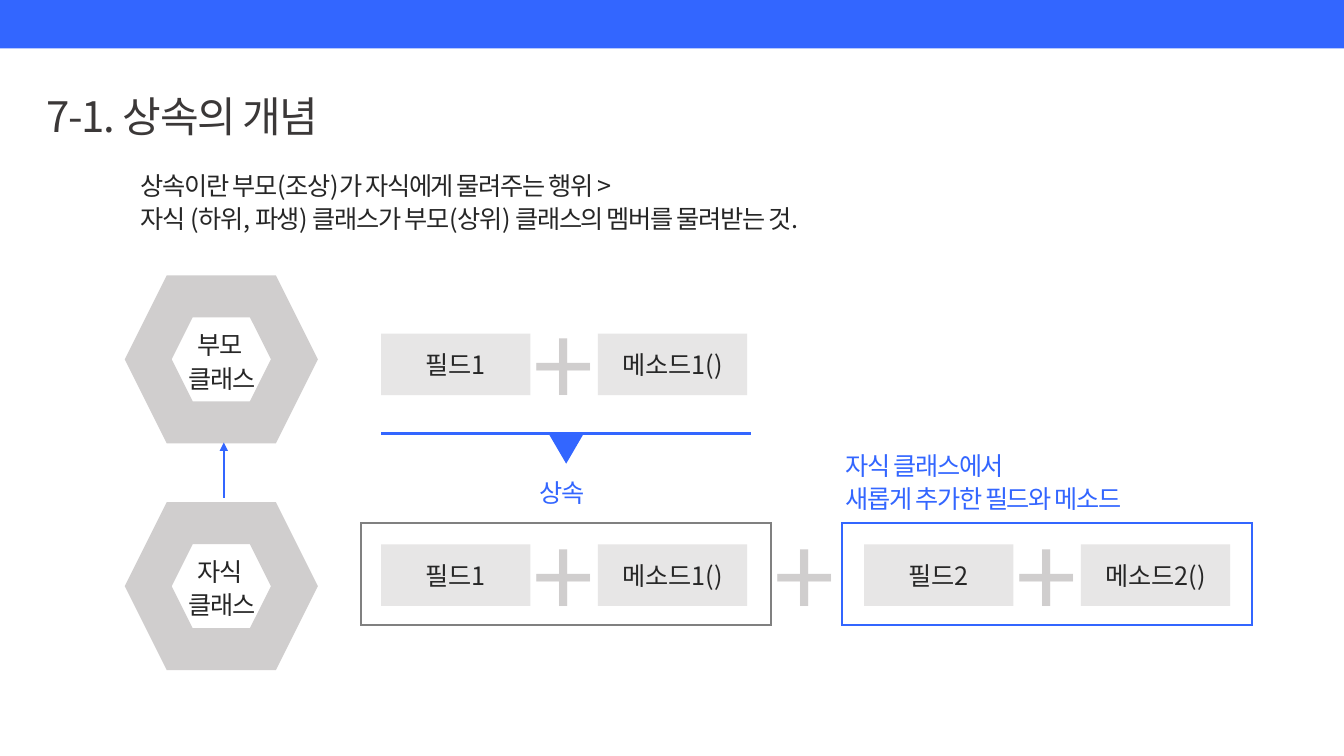
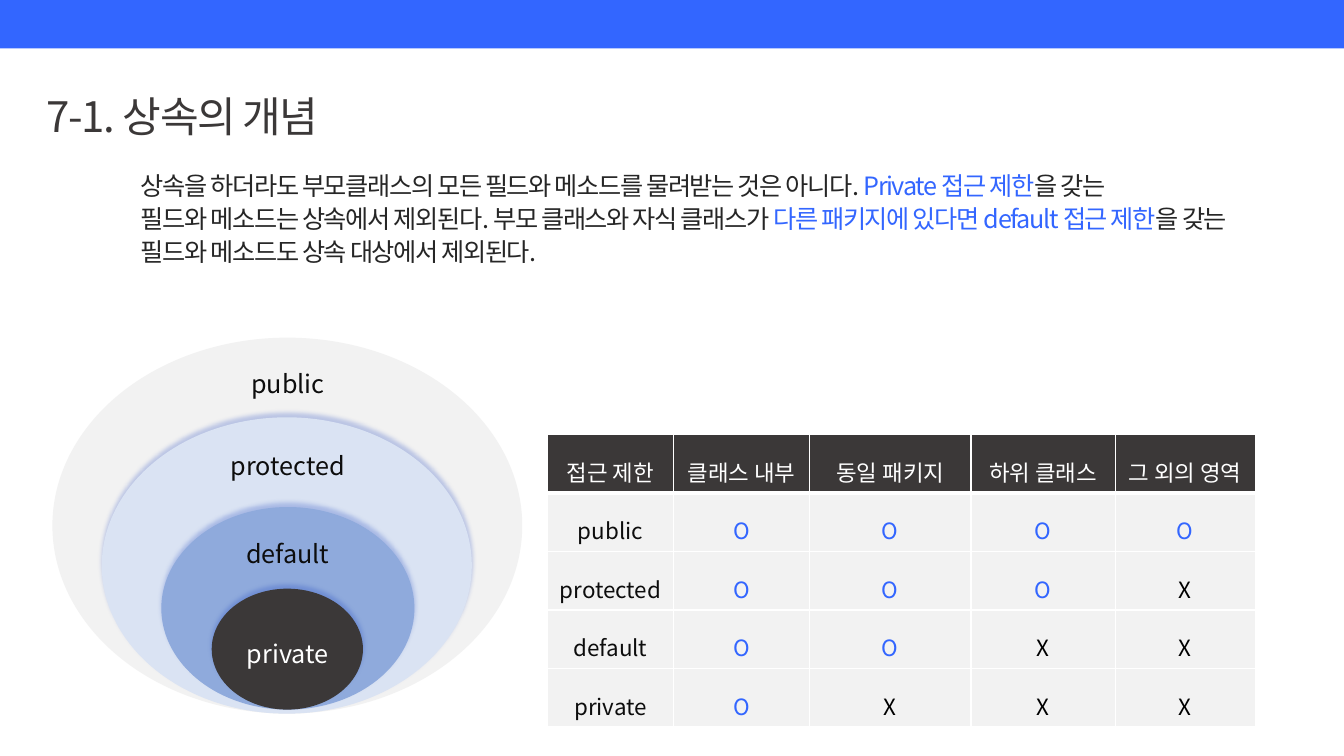
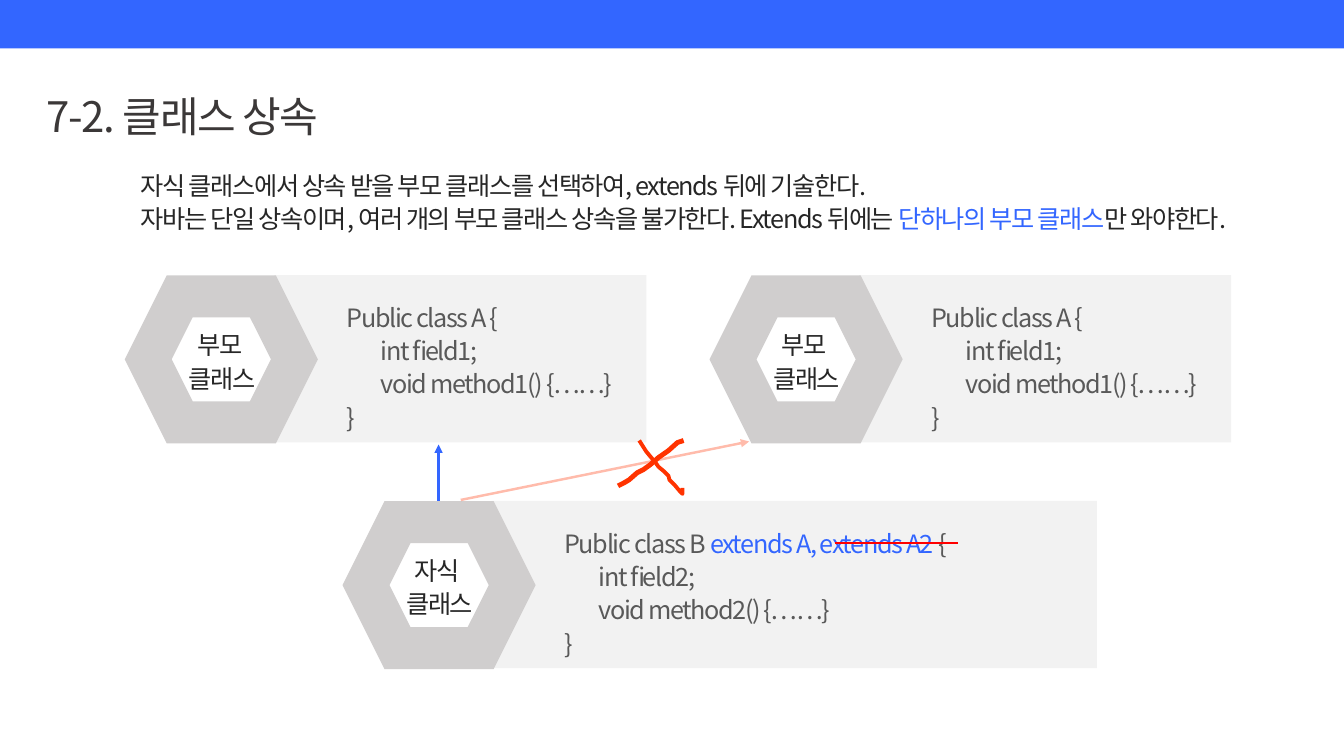
from dataclasses import dataclass

from lxml.etree import SubElement
from pptx import Presentation
from pptx.dml.color import RGBColor
from pptx.enum.shapes import MSO_CONNECTOR, MSO_SHAPE
from pptx.enum.text import MSO_ANCHOR, MSO_AUTO_SIZE, PP_ALIGN
from pptx.oxml.ns import qn
from pptx.util import Inches, Pt


@dataclass(frozen=True)
class Theme:
    """Colours, font and type sizes of the deck."""
    font: str = "Noto Sans CJK KR"
    blue: str = "3366FF"
    dark: str = "3B3838"
    ink: str = "262626"
    black: str = "000000"
    label: str = "0D0D0D"
    code: str = "595959"
    edge: str = "808080"
    ring: str = "D0CECE"
    block: str = "E7E6E6"
    pale: str = "F2F2F2"
    white: str = "FFFFFF"
    sky: str = "DAE3F3"
    mid: str = "8FAADC"
    glow: str = "1C43BE"
    cross: str = "FF3300"
    strike: str = "FF0000"
    title: int = 30
    body: int = 18
    cell: int = 16
    plus: int = 80


T = Theme()


def rgb(code):
    """Turn a hex code into a colour."""
    return RGBColor.from_string(code)


def sub(parent, tag, **attrs):
    """Append an XML child with attributes."""
    return SubElement(parent, qn(tag), attrs)


def write(frame, paras, size=T.body, color=T.ink, align=PP_ALIGN.LEFT,
          space=1.1, track=0, indent=()):
    """Fill a frame; a paragraph is a string or a list of (text, colour) runs."""
    for i, runs in enumerate(paras):
        para = frame.paragraphs[0] if i == 0 else frame.add_paragraph()
        para.alignment = align
        para.line_spacing = space
        if i in indent:
            para._p.get_or_add_pPr().set("marL", str(Inches(0.34)))
        for text, tint in [(runs, color)] if isinstance(runs, str) else runs:
            run = para.add_run()
            run.text = text
            run.font.size = Pt(size)
            run.font.name = T.font
            run.font.color.rgb = rgb(tint)
            props = run._r.get_or_add_rPr()
            sub(props, "a:ea", typeface=T.font)
            if track:
                props.set("spc", str(track * 100))


def text(slide, box, paras, wrap=True, anchor=MSO_ANCHOR.TOP, **fmt):
    """Add a text box."""
    frame = slide.shapes.add_textbox(*map(Inches, box)).text_frame
    frame.auto_size = MSO_AUTO_SIZE.NONE
    frame.word_wrap = wrap
    frame.vertical_anchor = anchor
    write(frame, paras, **fmt)


def shape(slide, kind, box, fill=None, line=None):
    """Add a preset shape; line is (colour, points)."""
    item = slide.shapes.add_shape(kind, *map(Inches, box))
    item.shadow.inherit = False
    if fill:
        item.fill.solid()
        item.fill.fore_color.rgb = rgb(fill)
    else:
        item.fill.background()
    if line:
        item.line.color.rgb = rgb(line[0])
        item.line.width = Pt(line[1])
        sub(item.element.spPr.find(qn("a:ln")), "a:miter", lim="800000")
    else:
        item.line.fill.background()
    return item


def rule(slide, start, end, color=T.blue, width=1.75, head=False, alpha=None):
    """Add a straight line, with an arrowhead at its start if asked."""
    item = slide.shapes.add_connector(
        MSO_CONNECTOR.STRAIGHT, *map(Inches, (*start, *end)))
    item.line.color.rgb = rgb(color)
    item.line.width = Pt(width)
    props = item.element.spPr
    edge = props.find(qn("a:ln"))
    if alpha:
        sub(edge.find(".//" + qn("a:srgbClr")), "a:alpha", val=str(alpha * 1000))
    if head:
        sub(edge, "a:headEnd", type="triangle")
    sub(props, "a:effectLst")


def stroke(group, points, width):
    """Add a hand-drawn open stroke to a group."""
    spots = [(Inches(x), Inches(y)) for x, y in points]
    pen = group.shapes.build_freeform(*spots[0])
    pen.add_line_segments(spots[1:], close=False)
    item = pen.convert_to_shape()
    item.shadow.inherit = False
    item.fill.background()
    item.line.color.rgb = rgb(T.cross)
    item.line.width = Pt(width)


def page(deck, title, body):
    """Add a slide with its title and lead text."""
    slide = deck.slides.add_slide(deck.slide_layouts[6])
    text(slide, (0.36, 0.8, 9.55, 0.63), [title],
         size=T.title, color=T.dark, track=-1)
    text(slide, (1.3, 1.61, 11.6, 1.24), body, track=-1)
    return slide


def band(deck, slide):
    """Put the top band on the master, for all slides."""
    bar = shape(slide, MSO_SHAPE.RECTANGLE, (-0.01, 0, 13.35, 0.48), T.blue)
    deck.slide_master.shapes.element.append(bar.element)


def node(slide, left, top, role):
    """Add a class hexagon with its role."""
    shape(slide, MSO_SHAPE.HEXAGON, (left, top, 1.45, 1.25),
          T.white, (T.ring, 30))
    text(slide, (left + 0.07, top + 0.25, 1.32, 0.61), [role + " ", "클래스"],
         wrap=False, align=PP_ALIGN.CENTER, track=-1)


def plus(slide, left, top):
    """Add a large plus sign."""
    text(slide, (left, top, 1.17, 1.07), ["+"], size=T.plus, color=T.ring,
         align=PP_ALIGN.CENTER, anchor=MSO_ANCHOR.MIDDLE)


def pair(slide, left, top, num):
    """Add a field block, a plus sign and a method block."""
    for shift, name in ((0, f"필드{num}"), (2.15, f"메소드{num}()")):
        item = shape(slide, MSO_SHAPE.RECTANGLE,
                     (left + shift, top, 1.48, 0.61), T.block)
        item.text_frame.vertical_anchor = MSO_ANCHOR.MIDDLE
        write(item.text_frame, [name], align=PP_ALIGN.CENTER, space=1)
    plus(slide, left + 1.23, top - 0.3)


def card(slide, left, top, width, role, lines):
    """Add a code panel with its class hexagon."""
    shape(slide, MSO_SHAPE.RECTANGLE, (left, top, width, 1.66), T.pale)
    text(slide, (left + 0.62, top + 0.19, width - 0.45, 1.46), lines,
         color=T.code, track=-1, indent=(1, 2))
    node(slide, left - 1.25, top + 0.21, role)


def oval(slide, box, fill, name, top, color=T.label, glow=True):
    """Add one access ring and its label."""
    item = shape(slide, MSO_SHAPE.OVAL, box, fill)
    if glow:
        cast = sub(item.element.spPr.find(qn("a:effectLst")), "a:outerShdw",
                   blurRad=str(Pt(3)), dist=str(Pt(3)), dir="16200000",
                   algn="ctr", rotWithShape="0")
        tint = sub(cast, "a:srgbClr", val=T.glow)
        sub(tint, "a:alpha", val="25000")
    text(slide, (2.34, top, 1.03, 0.47), [name], wrap=False,
         color=color, align=PP_ALIGN.CENTER)


def border(cell, low):
    """Give a cell white borders, with the bottom one low points wide."""
    props = cell._tc.get_or_add_tcPr()
    sides = (("L", 1), ("R", 1), ("T", 1), ("B", low))
    for i, (side, width) in enumerate(sides):
        edge = props.makeelement(qn("a:ln" + side), {"w": str(Pt(width))})
        sub(sub(edge, "a:solidFill"), "a:srgbClr", val=T.white)
        props.insert(i, edge)


def grid(slide, rows, widths):
    """Add the access table."""
    table = slide.shapes.add_table(
        len(rows), len(widths), Inches(5.43), Inches(4.31),
        Inches(sum(widths)), Inches(0.52 * len(rows))).table
    for col, width in zip(table.columns, widths):
        col.width = Inches(width)
    tints = {"O": T.blue, "X": T.black}
    for r, row in enumerate(rows):
        for c, word in enumerate(row):
            cell = table.cell(r, c)
            cell.fill.solid()
            cell.fill.fore_color.rgb = rgb(T.pale if r else T.dark)
            border(cell, 1 if r else 3)
            color = tints.get(word, T.label) if r else T.white
            write(cell.text_frame, [word], size=T.cell, color=color,
                  align=PP_ALIGN.CENTER, space=1.5)


def idea(deck):
    """Build the slide on what inheritance is."""
    slide = page(deck, "7-1. 상속의 개념", [
        "상속이란 부모(조상)가 자식에게 물려주는 행위 >",
        "자식 (하위, 파생) 클래스가 부모(상위) 클래스의 멤버를 물려받는 것."])
    band(deck, slide)
    node(slide, 1.47, 2.94, "부모")
    pair(slide, 3.78, 3.31, 1)
    rule(slide, (3.78, 4.3), (7.45, 4.3))
    node(slide, 1.47, 5.19, "자식")
    mark = shape(slide, MSO_SHAPE.ISOSCELES_TRIANGLE,
                 (5.44, 4.3, 0.35, 0.3), T.blue)
    mark.rotation = 180
    pair(slide, 3.78, 5.4, 1)
    pair(slide, 8.57, 5.4, 2)
    plus(slide, 7.4, 5.1)
    for left, color in ((8.35, T.blue), (3.58, T.edge)):
        shape(slide, MSO_SHAPE.RECTANGLE, (left, 5.19, 4.07, 1.01),
              line=(color, 1.5))
    text(slide, (5.25, 4.66, 0.67, 0.65), ["상속"], color=T.blue, track=-1)
    text(slide, (8.29, 4.39, 3.24, 0.65),
         ["자식 클래스에서", "새롭게 추가한 필드와 메소드"],
         color=T.blue, track=-1)
    rule(slide, (2.22, 4.39), (2.22, 4.94), head=True)


def access(deck):
    """Build the slide on access limits."""
    slide = page(deck, "7-1. 상속의 개념", [
        [("상속을 하더라도 부모클래스의 모든 필드와 메소드를 물려받는 것은 아니다. ", T.ink),
         ("Private 접근 제한", T.blue), ("을 갖는", T.ink)],
        [("필드와 메소드는 상속에서 제외된다. 부모 클래스와 자식 클래스가 ", T.ink),
         ("다른 패키지에 있다면 default 접근 제한", T.blue), ("을 갖는", T.ink)],
        "필드와 메소드도 상속 대상에서 제외된다."])
    grid(slide, [
        ("접근 제한", "클래스 내부", "동일 패키지", "하위 클래스", "그 외의 영역"),
        ("public", *"OOOO"),
        ("protected", *"OOOX"),
        ("default", *"OOXX"),
        ("private", *"OXXX")], (1.25, 1.35, 1.6, 1.43, 1.39))
    oval(slide, (0.52, 3.35, 4.66, 3.73), T.pale, "public", 3.57, glow=False)
    oval(slide, (1.01, 4.14, 3.67, 2.94), T.sky, "protected", 4.39)
    oval(slide, (1.6, 5.03, 2.51, 2.01), T.mid, "default", 5.26)
    oval(slide, (2.1, 5.84, 1.5, 1.2), T.dark, "private", 6.25, T.white)


def extend(deck):
    """Build the slide on extending one class."""
    slide = page(deck, "7-2. 클래스 상속", [
        "자식 클래스에서 상속 받을 부모 클래스를 선택하여, extends 뒤에 기술한다.",
        [("자바는 단일 상속이며, 여러 개의 부모 클래스 상속을 불가한다. Extends 뒤에는 ", T.ink),
         ("단하나의 부모 클래스", T.blue), ("만 와야한다.", T.ink)]])
    base = ["Public class A {", "int field1;", "void method1() {……}", "}"]
    child = [[("Public class B ", T.code), ("extends A, extends A2 ", T.blue),
              ("{", T.code)], "int field2;", "void method2() {……}", "}"]
    card(slide, 2.72, 2.73, 3.69, "부모", base)
    card(slide, 4.88, 4.97, 6, "자식", child)
    rule(slide, (4.35, 4.41), (4.35, 4.97), head=True)
    card(slide, 8.52, 2.73, 3.69, "부모", base)
    rule(slide, (7.43, 4.38), (4.57, 4.96), T.cross, head=True, alpha=33)
    rule(slide, (8.28, 5.39), (9.5, 5.39), T.strike, 1.5)
    cross = slide.shapes.add_group_shape()
    stroke(cross, [(6.34, 4.37), (6.41, 4.48), (6.51, 4.6), (6.53, 4.63),
                   (6.59, 4.68), (6.63, 4.72), (6.64, 4.76), (6.69, 4.81),
                   (6.74, 4.87), (6.77, 4.9), (6.77, 4.84)], 2.75)
    stroke(cross, [(6.78, 4.37), (6.72, 4.39), (6.63, 4.47), (6.53, 4.54),
                   (6.45, 4.61), (6.38, 4.66), (6.32, 4.69), (6.24, 4.76),
                   (6.19, 4.79), (6.13, 4.82)], 3.5)


def main():
    """Build and save the deck."""
    deck = Presentation()
    deck.slide_width = Inches(13.33)
    deck.slide_height = Inches(7.5)
    idea(deck)
    access(deck)
    extend(deck)
    deck.save("out.pptx")


main()
